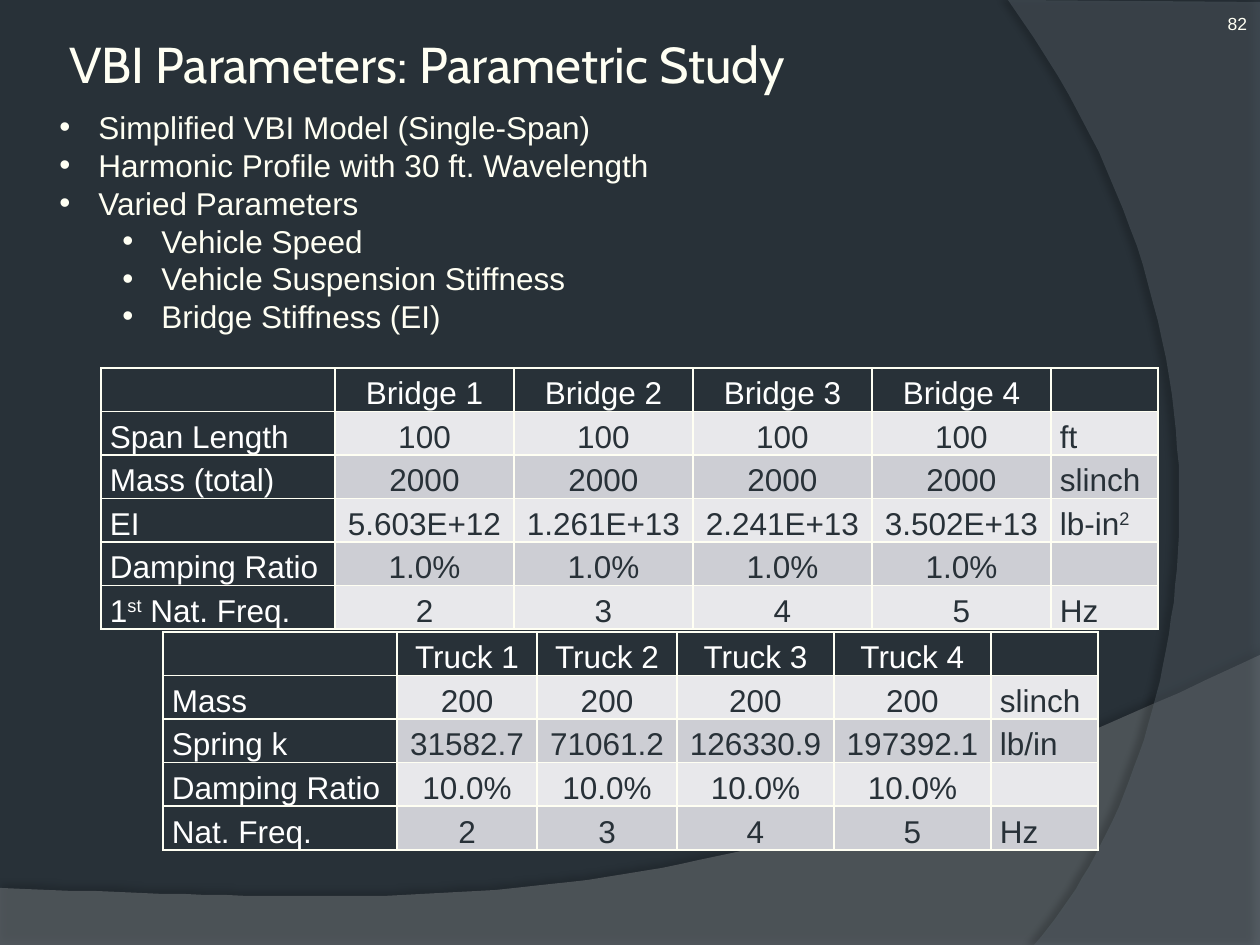
from lxml.etree import SubElement
from pptx import Presentation
from pptx.dml.color import RGBColor
from pptx.enum.text import MSO_ANCHOR as Anchor, MSO_AUTO_SIZE as Auto, PP_ALIGN as Align
from pptx.oxml.ns import qn
from pptx.util import Emu, Pt

PX = 914400 // 126
CREAM, WHITE, DARK = "FFFFF3", "FFFFFF", "283138"
BANDS = ("E8E8EB", "CDCED4")


def px(n):
    return Emu(round(n * PX))


def color(code):
    return RGBColor.from_string(code)


def style(font, size, code, face="Arial"):
    font.size, font.name = Pt(size), face
    font.color.rgb = color(code)


def inset(part, left, top, right, bottom):
    part.margin_left, part.margin_top = px(left), px(top)
    part.margin_right, part.margin_bottom = px(right), px(bottom)


def curve(p0, p1, p2, p3, steps=60):
    """Points along a cubic Bezier, start point left out."""
    for i in range(1, steps + 1):
        t = i / steps
        u = 1 - t
        yield tuple(u**3 * a + 3 * u * u * t * b + 3 * u * t * t * c + t**3 * d
                    for a, b, c, d in zip(p0, p1, p2, p3))


def wave(slide, points, code, alpha, shade, dist, angle):
    """Translucent outline with a soft shadow."""
    pen = slide.shapes.build_freeform(*points[0], scale=PX)
    pen.add_line_segments(points[1:], close=True)
    shape = pen.convert_to_shape()
    shape.line.fill.background()
    shape.fill.solid()
    shape.fill.fore_color.rgb = color(code)
    props = shape.fill._xPr
    fill = props.find(qn("a:solidFill"))[0]
    SubElement(fill, qn("a:alpha"), val=str(alpha * 1000))
    shape.shadow.inherit = False
    glow = SubElement(props.find(qn("a:effectLst")), qn("a:outerShdw"),
                      blurRad=str(Pt(4)), dist=str(Pt(dist)),
                      dir=str(angle * 60000), algn="ctr", rotWithShape="0")
    black = SubElement(glow, qn("a:srgbClr"), val="000000")
    SubElement(black, qn("a:alpha"), val=str(shade * 1000))


def backdrop(slide, wide, high):
    slide.background.fill.solid()
    slide.background.fill.fore_color.rgb = color(DARK)
    # Wave along the bottom
    start = (wide, 655)
    wave(slide, [(0, 888), (0, high), (wide, high), start,
                 *curve(start, (704, 919), (493, 906), (0, 888))],
         "808487", 45, 35, 3.5, 270)
    # Arc down the right side
    start = (1034, high)
    wave(slide, [(wide, 2), (wide, high), start,
                 *curve(start, (1178, 780), (1283, 378), (1008, 0))],
         "5C666F", 40, 45, 4, 180)


def heading(slide, text, box):
    title = slide.shapes.title
    slide.shapes._spTree.append(title._element)  # above the backdrop
    title.left, title.top, title.width, title.height = map(px, box)
    frame = title.text_frame
    frame.text = text
    frame.auto_size = Auto.NONE
    frame.vertical_anchor = Anchor.MIDDLE
    inset(frame, 6, 6, 6, 6)
    para = frame.paragraphs[0]
    para.alignment = Align.LEFT
    style(para.runs[0].font, 28.8, CREAM, "Cabin")


def number(slide, text, box):
    frame = slide.shapes.add_textbox(*map(px, box)).text_frame
    frame.word_wrap = True
    inset(frame, 0, 13, 13, 0)
    frame.text = text
    para = frame.paragraphs[0]
    para.alignment = Align.RIGHT
    style(para.runs[0].font, 10, CREAM)


def bullets(slide, items, box):
    frame = slide.shapes.add_textbox(*map(px, box)).text_frame
    frame.word_wrap = True
    frame.text = "\n".join(text for _, text in items)
    for para, (level, _) in zip(frame.paragraphs, items):
        para.level = level
        props = para._p.get_or_add_pPr()
        props.set("marL", str(px(39 + 63 * level)))
        props.set("indent", str(px(-39)))
        SubElement(props, qn("a:buFont"), typeface="Arial")
        SubElement(props, qn("a:buChar"), char="•")
        style(para.runs[0].font, 18, CREAM)


def border(cell):
    props = cell._tc.get_or_add_tcPr()
    for i, side in enumerate(("lnL", "lnR", "lnT", "lnB")):
        line = props.makeelement(qn("a:" + side), {"w": str(Pt(1))})
        fill = SubElement(line, qn("a:solidFill"))
        SubElement(fill, qn("a:srgbClr"), val=CREAM)
        props.insert(i, line)


def write(cell, text, code, align):
    """Fill a cell; text between ^ marks is raised."""
    inset(cell, 9, 0, 9, 0)
    cell.vertical_anchor = Anchor.BOTTOM
    para = cell.text_frame.paragraphs[0]
    para.alignment, para.line_spacing = align, 1.15
    style(para.font, 18, code)
    for i, part in enumerate(text.split("^")):
        if part:
            run = para.add_run()
            run.text = part
            style(run.font, 18, code)
            if i % 2:
                run.font._element.set("baseline", "30000")


def grid(slide, rows, cols, box):
    left, top, high = box
    table = slide.shapes.add_table(len(rows), len(cols), px(left), px(top),
                                   px(sum(cols)), px(high)).table
    table.first_row = table.horz_banding = False
    for col, wide in zip(table.columns, cols):
        col.width = px(wide)
    for r, row in enumerate(rows):
        table.rows[r].height = px(high / len(rows))
        for c, text in enumerate(row):
            cell = table.cell(r, c)
            head = r == 0 or c == 0
            middle = 0 < c < len(cols) - 1
            write(cell, text, WHITE if head else DARK,
                  Align.CENTER if middle else Align.LEFT)
            if head:
                cell.fill.background()
            else:
                cell.fill.solid()
                cell.fill.fore_color.rgb = color(BANDS[(r - 1) % 2])
            border(cell)


def series(name):
    return ["", *(f"{name} {i}" for i in range(1, 5)), ""]


def same(label, value, unit):
    return [label, *[value] * 4, unit]


BRIDGES = [
    series("Bridge"),
    same("Span Length", "100", "ft"),
    same("Mass (total)", "2000", "slinch"),
    ["EI", "5.603E+12", "1.261E+13", "2.241E+13", "3.502E+13", "lb-in^2^"],
    same("Damping Ratio", "1.0%", ""),
    ["1^st^ Nat. Freq.", "2", "3", "4", "5", "Hz"],
]
TRUCKS = [
    series("Truck"),
    same("Mass", "200", "slinch"),
    ["Spring k", "31582.7", "71061.2", "126330.9", "197392.1", "lb/in"],
    same("Damping Ratio", "10.0%", ""),
    ["Nat. Freq.", "2", "3", "4", "5", "Hz"],
]
POINTS = [
    (0, "Simplified VBI Model (Single-Span)"),
    (0, "Harmonic Profile with 30 ft. Wavelength"),
    (0, "Varied Parameters"),
    (1, "Vehicle Speed"),
    (1, "Vehicle Suspension Stiffness"),
    (1, "Bridge Stiffness (EI)"),
]


def main():
    deck = Presentation()
    deck.slide_width, deck.slide_height = px(1260), px(945)
    slide = deck.slides.add_slide(deck.slide_layouts[5])
    backdrop(slide, 1260, 945)
    heading(slide, "VBI Parameters: Parametric Study", (63, 24, 1134, 78))
    number(slide, "82", (1155, 0, 105, 50))
    bullets(slide, POINTS, (47, 102, 903, 242))
    grid(slide, BRIDGES, [234, 179, 179, 179, 179, 107], (101, 368, 261))
    grid(slide, TRUCKS, [234, 140, 140, 157, 157, 107], (163, 632, 218))
    deck.save("out.pptx")


if __name__ == "__main__":
    main()
